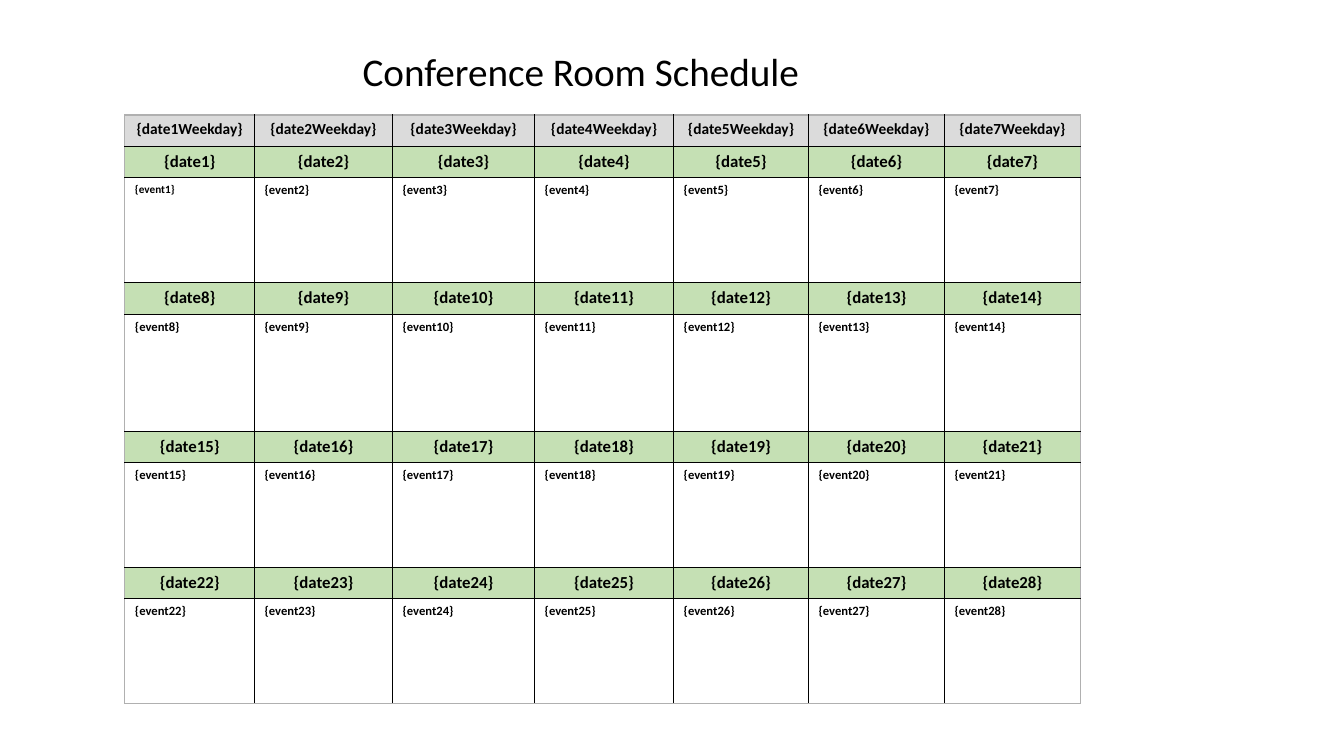
from lxml.etree import SubElement
from pptx import Presentation
from pptx.dml.color import RGBColor
from pptx.enum.text import PP_ALIGN as Align
from pptx.oxml.ns import qn
from pptx.util import Pt

TITLE = "Conference Room Schedule"
TITLE_BOX = (252, 30.2, 340, 41)
TABLE_LEFT, TABLE_TOP = 89.2, 82.1
COLUMN_WIDTHS = [92.6, 98.6, 101.5, 99.3, 96.4, 97.1, 97.1]
HEADER_HEIGHT = 22.4
WEEKS = [(22.4, 74.7), (23, 83.5), (22.4, 74.8), (22.4, 74.8)]  # date row, event row

FONT, BLACK, EDGE = "Calibri", "000000", "B0B0B0"
WEEKDAY = {"size": 11, "fill": "DBDBDB", "align": Align.CENTER}
DATE = {"size": 12, "fill": "C5E0B4", "align": Align.CENTER}
EVENT = {"size": 9, "fill": "FFFFFF", "align": Align.LEFT}
FIRST_EVENT = {**EVENT, "size": 8}


def color(value):
    return RGBColor.from_string(value)


def write(text_frame, text, size, bold=False, align=Align.LEFT):
    paragraph = text_frame.paragraphs[0]
    paragraph.alignment = align
    run = paragraph.add_run()
    run.text = text
    for name, value in {"name": FONT, "size": Pt(size), "bold": bold}.items():
        setattr(run.font, name, value)
    run.font.color.rgb = color(BLACK)


def add_borders(cell, side_colors):
    properties = cell._tc.get_or_add_tcPr()
    for side, value in side_colors.items():
        line = SubElement(properties, qn(f"a:ln{side}"), w=str(Pt(1)))
        fill = SubElement(line, qn("a:solidFill"))
        SubElement(fill, qn("a:srgbClr"), val=value)


def schedule_rows():
    """Return (height, texts, format) for each table row."""
    days = len(COLUMN_WIDTHS)
    rows = [(HEADER_HEIGHT, [f"{{date{day}Weekday}}" for day in range(1, days + 1)], WEEKDAY)]
    for week, (date_height, event_height) in enumerate(WEEKS):
        numbers = range(week * days + 1, (week + 1) * days + 1)
        rows.append((date_height, [f"{{date{number}}}" for number in numbers], DATE))
        rows.append((event_height, [f"{{event{number}}}" for number in numbers], EVENT))
    return rows


def add_schedule(slide):
    rows = schedule_rows()
    last_row, last_column = len(rows) - 1, len(COLUMN_WIDTHS) - 1
    table = slide.shapes.add_table(
        len(rows), len(COLUMN_WIDTHS), Pt(TABLE_LEFT), Pt(TABLE_TOP),
        Pt(sum(COLUMN_WIDTHS)), Pt(sum(height for height, _, _ in rows))).table
    table.first_row = table.horz_banding = False
    for column, width in zip(table.columns, COLUMN_WIDTHS):
        column.width = Pt(width)
    for row, (height, texts, row_format) in enumerate(rows):
        table.rows[row].height = Pt(height)
        for column, text in enumerate(texts):
            cell = table.cell(row, column)
            style = FIRST_EVENT if text == "{event1}" else row_format
            outer = {"L": column == 0, "R": column == last_column,
                     "T": row == 0, "B": row == last_row}
            add_borders(cell, {side: EDGE if edge else BLACK for side, edge in outer.items()})
            cell.fill.solid()
            cell.fill.fore_color.rgb = color(style["fill"])
            write(cell.text_frame, text, style["size"], True, style["align"])


def main():
    presentation = Presentation()
    presentation.slide_width, presentation.slide_height = Pt(960), Pt(540)
    slide = presentation.slides.add_slide(presentation.slide_layouts[6])
    add_schedule(slide)
    title = slide.shapes.add_textbox(*map(Pt, TITLE_BOX))
    title.text_frame.word_wrap = True
    write(title.text_frame, TITLE, 28)
    presentation.save("out.pptx")


if __name__ == "__main__":
    main()
